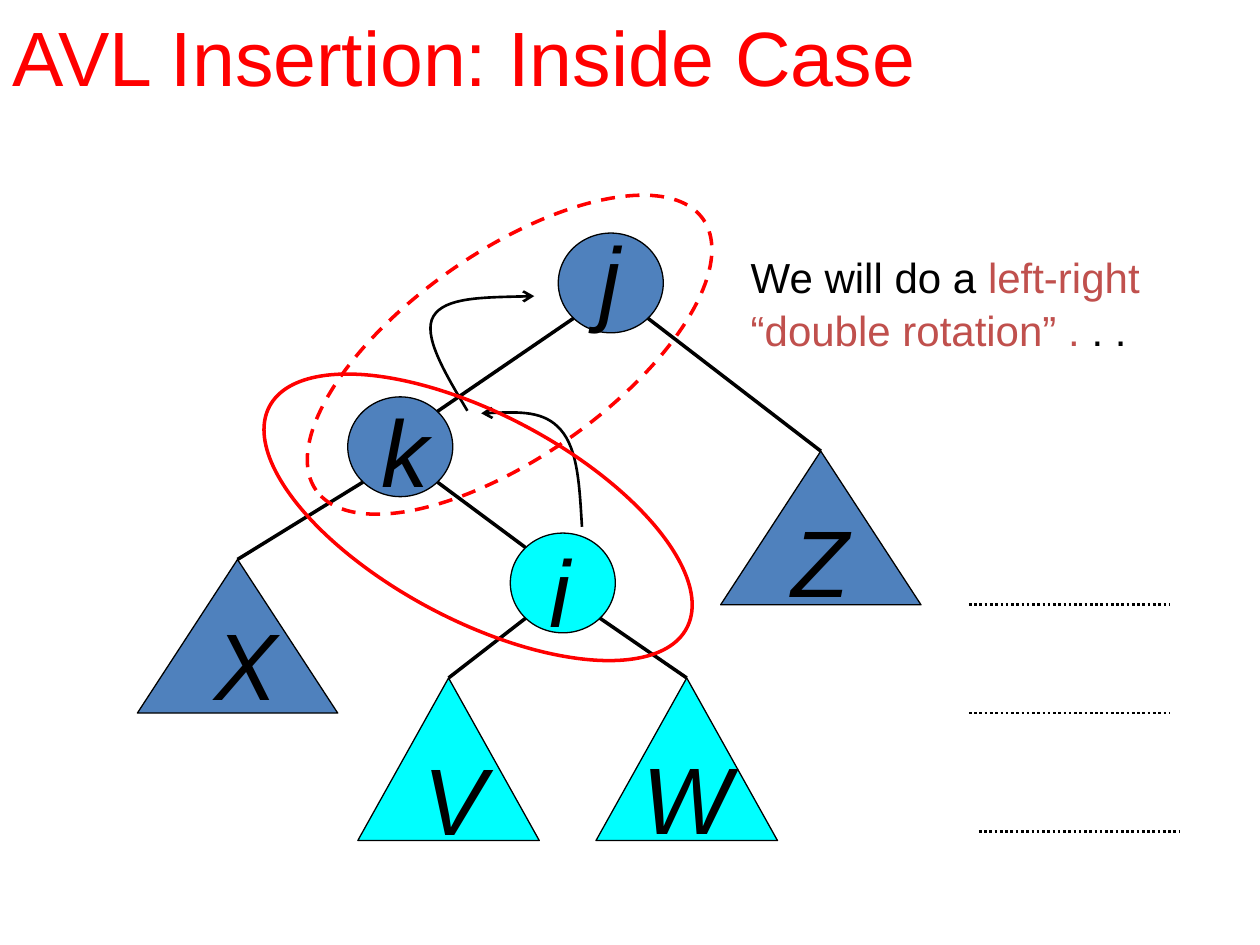
from lxml.etree import SubElement
from pptx import Presentation
from pptx.dml.color import RGBColor
from pptx.enum.dml import MSO_LINE
from pptx.enum.shapes import MSO_CONNECTOR, MSO_SHAPE
from pptx.enum.text import MSO_ANCHOR, PP_ALIGN
from pptx.oxml.ns import qn
from pptx.util import Pt

BLACK = RGBColor(0x00, 0x00, 0x00)
RED = RGBColor(0xFF, 0x00, 0x00)
BRICK = RGBColor(0xC0, 0x50, 0x4D)
BLUE = RGBColor(0x4F, 0x81, 0xBD)
CYAN = RGBColor(0x00, 0xFF, 0xFF)
FONT = "Arial"
DISC = (60, 57)
LARGE, SMALL = (114.5, 87.8), (103.7, 92.9)
OVAL = (270, 117.4)

# name: left, top, fill, label offset
NODES = {
    "j": (241, 1.2, BLUE, (16.5, -15.2)),
    "k": (120.7, 94.8, BLUE, (12.3, -10.1)),
    "i": (213.6, 172.6, CYAN, (15.1, -8)),
}
# name: left, top, size, fill, label offset
LEAVES = {
    "X": (0.5, 187.7, LARGE, BLUE, (36.7, 18.7)),
    "Z": (333.8, 125.8, LARGE, BLUE, (33.2, 21.6)),
    "V": (126.5, 255.4, SMALL, CYAN, (30.2, 28)),
    "W": (262.6, 255.4, SMALL, CYAN, (19.4, 27.3)),
}
# parent, child, side of the parent (-1 left, 1 right)
EDGES = [("j", "k", -1), ("j", "Z", 1), ("k", "X", -1),
         ("k", "i", 1), ("i", "V", -1), ("i", "W", 1)]
# left, top, turn, dash
OVALS = [(60.2, 104.9, 28, None), (78.2, 12, -35, MSO_LINE.DASH)]
# start, then three points for each curve
ARROWS = [
    [(254.6, 169), (253.2, 146.6), (252.5, 125), (242.4, 113.5),
     (233, 102.7), (215, 103.4), (197, 104.2)],
    [(189.1, 102.7), (176.2, 81.1), (163.2, 59.5), (169.7, 48.7),
     (176.2, 37.9), (202.1, 37.9), (227.3, 37.2)],
]


def add_run(para, text, size, color, italic=False):
    run = para.add_run()
    run.text = text
    font = run.font
    font.name, font.size, font.italic = FONT, Pt(size), italic
    font.color.rgb = color


def add_form(slide, kind, left, top, size, fill, color, width):
    form = slide.shapes.add_shape(kind, Pt(left), Pt(top), *map(Pt, size))
    form.shadow.inherit = False
    if fill is None:
        form.fill.background()
    else:
        form.fill.solid()
        form.fill.fore_color.rgb = fill
    form.line.color.rgb = color
    form.line.width = Pt(width)
    return form


def add_line(slide, start, end, width, dash=None):
    line = slide.shapes.add_connector(
        MSO_CONNECTOR.STRAIGHT, *map(Pt, start + end))
    line.line.color.rgb = BLACK
    line.line.width = Pt(width)
    if dash:
        line.line.dash_style = dash
    SubElement(line._element.spPr, qn("a:effectLst"))


def add_label(slide, text, left, top):
    box = slide.shapes.add_textbox(Pt(left), Pt(top), Pt(36.7), Pt(72))
    frame = box.text_frame
    frame.word_wrap = True
    frame.margin_top = Pt(8)
    add_run(frame.paragraphs[0], text, 54, BLACK, True)


def add_arrow(slide, points):
    spots = [(Pt(x), Pt(y)) for x, y in points]
    build = slide.shapes.build_freeform(*spots[0])
    build.add_line_segments(spots[1:], close=False)
    form = build.convert_to_shape()
    form.shadow.inherit = False
    form.fill.background()
    form.line.color.rgb = BLACK
    form.line.width = Pt(1.5)
    # Turn each three straight steps into one curve
    steps = list(form._element.iter(qn("a:lnTo")))
    for n in range(0, len(steps), 3):
        curve = SubElement(steps[n].getparent(), qn("a:cubicBezTo"))
        for step in steps[n:n + 3]:
            curve.append(step[0])
            step.getparent().remove(step)
    SubElement(form.line._get_or_add_ln(), qn("a:tailEnd"), type="arrow")


def corner(node, across, down):
    """Point on the rim of a node, halfway between its axes."""
    left, top = NODES[node][:2]
    wide, high = DISC
    return left + wide * (0.5 + 0.354 * across), top + high * (0.5 + 0.354 * down)


def add_tree(slide, left, top):
    def place(spot):
        return left + spot[0], top + spot[1]

    # Edges
    for parent, child, side in EDGES:
        if child in NODES:
            end = corner(child, -side, -1)
        else:
            x, y, size = LEAVES[child][:3]
            end = (x + size[0] / 2, y)
        add_line(slide, place(corner(parent, side, 1)), place(end), 2)

    # Nodes and subtrees
    parts = [(name, MSO_SHAPE.OVAL, x, y, DISC, fill, shift)
             for name, (x, y, fill, shift) in NODES.items()]
    parts += [(name, MSO_SHAPE.ISOSCELES_TRIANGLE, *rest)
              for name, rest in LEAVES.items()]
    for name, kind, x, y, size, fill, shift in parts:
        add_form(slide, kind, *place((x, y)), size, fill, BLACK, 0.75)
        add_label(slide, name, *place((x + shift[0], y + shift[1])))

    # Rotation arrows
    for points in ARROWS:
        add_arrow(slide, [place(spot) for spot in points])

    # Rings around the rotated pairs
    for x, y, turn, dash in OVALS:
        ring = add_form(slide, MSO_SHAPE.OVAL, *place((x, y)), OVAL, None, RED, 2)
        ring.rotation = turn
        if dash:
            ring.line.dash_style = dash


def add_levels(slide, left, top):
    for x, y in [(0, 0), (0, 61.9), (5.7, 129.6)]:
        start = (left + x, top + y)
        end = (start[0] + 114.5, start[1])
        add_line(slide, start, end, 1.5, MSO_LINE.ROUND_DOT)


def add_note(slide, left, top, wide, high):
    box = slide.shapes.add_textbox(Pt(left), Pt(top), Pt(wide), Pt(high))
    frame = box.text_frame
    frame.word_wrap = False
    rows = [[("We will do a ", BLACK), ("left-right", BRICK)],
            [("“double rotation” .", BRICK), (" . .", BLACK)]]
    for n, row in enumerate(rows):
        para = frame.add_paragraph() if n else frame.paragraphs[0]
        para.line_spacing = 1.05
        for text, color in row:
            add_run(para, text, 24, color)


def add_title(slide, left, top, wide, high):
    title = slide.shapes.title
    title.left, title.top = Pt(left), Pt(top)
    title.width, title.height = Pt(wide), Pt(high)
    frame = title.text_frame
    frame.vertical_anchor = MSO_ANCHOR.MIDDLE
    para = frame.paragraphs[0]
    para.alignment = PP_ALIGN.LEFT
    add_run(para, "AVL Insertion: Inside Case", 44, RED)


def main():
    deck = Presentation()
    deck.slide_width, deck.slide_height = Pt(720), Pt(540)
    slide = deck.slides.add_slide(deck.slide_layouts[5])
    add_title(slide, 0, 0, 615.6, 63.4)
    add_tree(slide, 78, 132)
    add_levels(slide, 553.7, 345.6)
    add_note(slide, 421.9, 139, 244, 64.8)
    deck.save("out.pptx")


if __name__ == "__main__":
    main()
